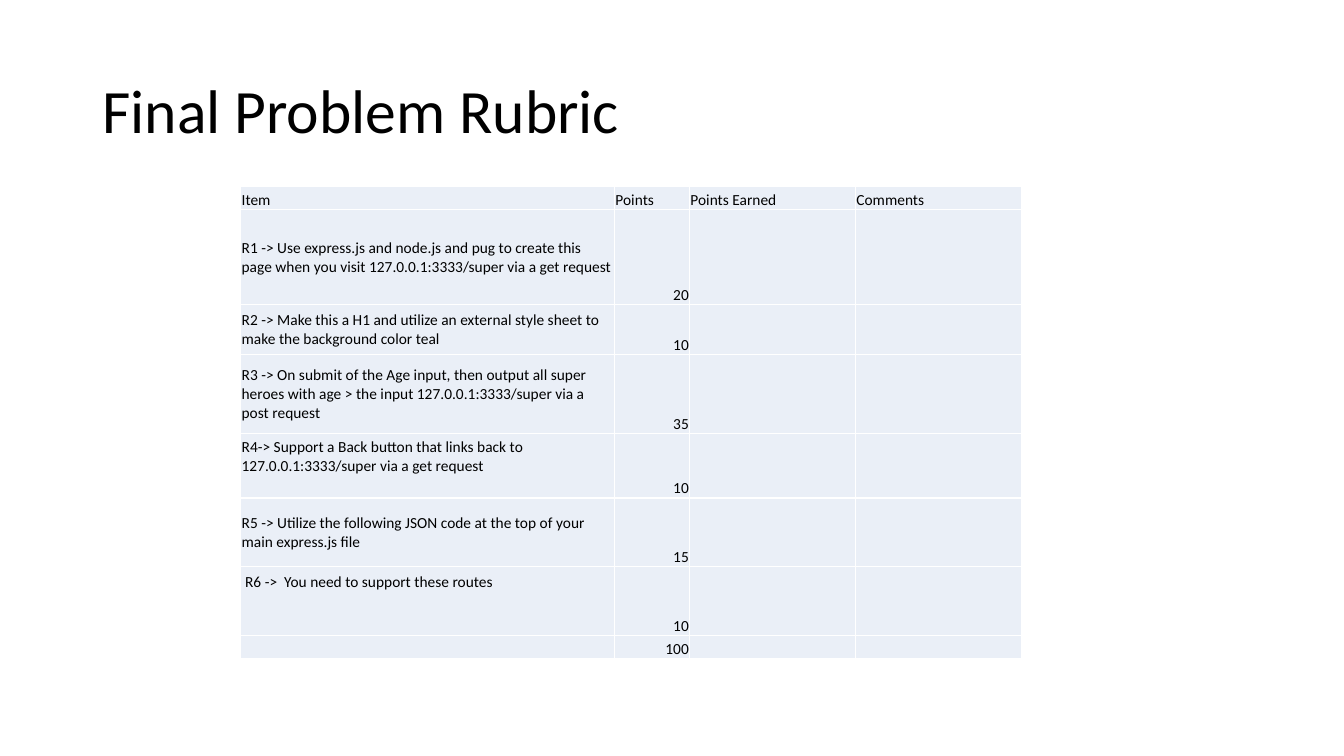
from lxml import etree
from pptx import Presentation, util as u
from pptx.dml.color import RGBColor
from pptx.enum import text
from pptx.oxml import ns

COLOURS = {"ink": "000000", "cell": "EAEFF7", "border": "FFFFFF"}
FONT = "Calibri"
TABLE_SIZE = u.Pt(11)
COLUMN_WIDTHS = [9.42, 1.89, 4.18, 4.18]
ROW_HEIGHTS = [0.58, 2.4, 1.26, 1.98, 1.63, 1.73, 1.73, 0.58]
HEADINGS = ["Item", "Points", "Points Earned", "Comments"]
CRITERIA = [
    ("R1 -> Use express.js and node.js and pug to create this page when you visit "
     "127.0.0.1:3333/super via a get request", 20),
    ("R2 -> Make this a H1 and utilize an external style sheet to make the "
     "background color teal", 10),
    ("R3 -> On submit of the Age input, then output all super heroes with age > "
     "the input 127.0.0.1:3333/super via a post request", 35),
    ("R4-> Support a Back button that links back to 127.0.0.1:3333/super via a "
     "get request", 10),
    ("R5 -> Utilize the following JSON code at the top of your main express.js file", 15),
    (" R6 ->  You need to support these routes", 10),
]
TOP_INSETS = {4: 0.1, 6: 0.15}


def apply_format(target, values):
    for name, value in values.items():
        setattr(target, name, value)


def write(para, words, size):
    span = para.add_run()
    span.text = words
    apply_format(span.font, {"name": FONT, "size": size})
    span.font.color.rgb = RGBColor.from_string(COLOURS["ink"])


def add_title(page, words):
    box = page.shapes.add_textbox(u.Cm(2.33), u.Cm(1.01), u.Cm(29.21), u.Cm(3.68))
    apply_format(box.text_frame, {
        "word_wrap": True, "vertical_anchor": text.MSO_ANCHOR.MIDDLE})
    para = box.text_frame.paragraphs[0]
    para.line_spacing = 0.9
    write(para, words, u.Pt(44))


def add_borders(cell):
    properties = cell._tc.get_or_add_tcPr()
    for index, side in enumerate(("lnL", "lnR", "lnT", "lnB")):
        line = etree.Element(ns.qn("a:" + side), w=str(u.Pt(1)))
        fill = etree.SubElement(line, ns.qn("a:solidFill"))
        etree.SubElement(fill, ns.qn("a:srgbClr"), val=COLOURS["border"])
        properties.insert(index, line)


def fill_cell(cell, words, anchor, align, top_inset):
    apply_format(cell, {
        "margin_left": u.Cm(0.02), "margin_right": u.Cm(0.02),
        "margin_top": u.Cm(top_inset), "margin_bottom": 0,
        "vertical_anchor": anchor})
    cell.fill.solid()
    cell.fill.fore_color.rgb = RGBColor.from_string(COLOURS["cell"])
    add_borders(cell)
    para = cell.text_frame.paragraphs[0]
    para.alignment = align
    if words:
        write(para, words, TABLE_SIZE)
    else:
        etree.SubElement(para._p, ns.qn("a:endParaRPr"), sz=str(int(TABLE_SIZE.pt * 100)))


def cell_layout(row, column):
    anchor, align = text.MSO_ANCHOR.BOTTOM, text.PP_ALIGN.LEFT
    if row and column == 0:
        anchor = text.MSO_ANCHOR.TOP if row in TOP_INSETS else text.MSO_ANCHOR.MIDDLE
    if row and column == 1:
        align = text.PP_ALIGN.RIGHT
    inset = TOP_INSETS.get(row, 0.02) if column == 0 else 0.02
    return anchor, align, inset


def add_rubric(page):
    total = sum(points for _, points in CRITERIA)
    rows = [HEADINGS] + [[item, str(points), "", ""]
                         for item, points in CRITERIA + [("", total)]]
    table = page.shapes.add_table(
        len(rows), len(HEADINGS), u.Cm(6.07), u.Cm(4.7),
        u.Cm(sum(COLUMN_WIDTHS)), u.Cm(sum(ROW_HEIGHTS))).table
    apply_format(table, {"first_row": False, "horz_banding": False})
    for column, width in zip(table.columns, COLUMN_WIDTHS):
        column.width = u.Cm(width)
    for row, height in zip(table.rows, ROW_HEIGHTS):
        row.height = u.Cm(height)
    for r, values in enumerate(rows):
        for c, words in enumerate(values):
            fill_cell(table.cell(r, c), words, *cell_layout(r, c))


def main():
    deck = Presentation()
    apply_format(deck, {"slide_width": u.Cm(33.87), "slide_height": u.Cm(19.05)})
    page = deck.slides.add_slide(deck.slide_layouts[6])
    add_title(page, "Final Problem Rubric")
    add_rubric(page)
    deck.save("out.pptx")


main()
